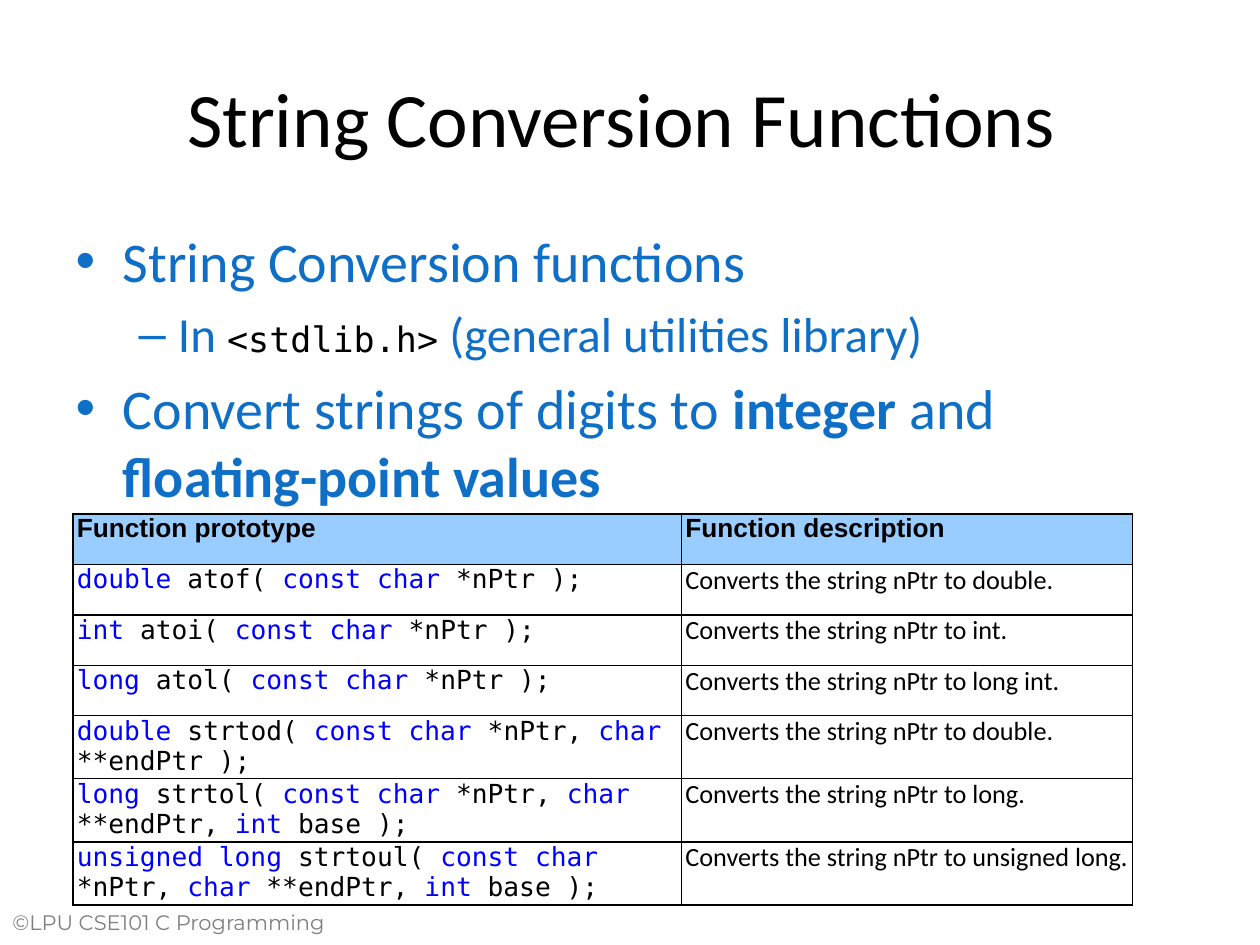
"""Build a slide on the C string conversion functions."""
from typing import NamedTuple, Optional

from lxml import etree
from pptx import Presentation
from pptx import util as u
from pptx.dml.color import RGBColor
from pptx.enum import text
from pptx.oxml.ns import qn

BLACK = RGBColor(0x00, 0x00, 0x00)
GREY = RGBColor(0x80, 0x80, 0x80)
THEME_BLUE = RGBColor(0x0F, 0x6F, 0xC6)
KEYWORD_BLUE = RGBColor(0x00, 0x00, 0xFF)
HEADER_FILL = RGBColor(0x99, 0xCC, 0xFF)
SANS, MONO, HEADING, FOOTER = "Calibri", "DejaVu Sans Mono", "Arial", "Montserrat"


class Piece(NamedTuple):
    words: str
    size: float
    font: str = SANS
    color: RGBColor = BLACK
    bold: bool = False


class Bullet(NamedTuple):
    level: int
    pieces: list[Piece]


class Function(NamedTuple):
    """Prototype parts alternate between keywords and plain code."""
    prototype: list[str]
    result: str


BULLETS = [
    Bullet(0, [Piece("String Conversion functions", 32, color=THEME_BLUE)]),
    Bullet(1, [
        Piece("In ", 28, color=THEME_BLUE),
        Piece("<stdlib.h>", 20, MONO),
        Piece(" ", 28),
        Piece("(general utilities library)", 28, color=THEME_BLUE),
    ]),
    Bullet(0, [
        Piece("Convert strings of digits to ", 32, color=THEME_BLUE),
        Piece("integer", 32, color=THEME_BLUE, bold=True),
        Piece(" and ", 32, color=THEME_BLUE),
        Piece("floating-point values", 32, color=THEME_BLUE, bold=True),
    ]),
]
FUNCTIONS = [
    Function(["double", " atof( ", "const char", " *nPtr );"], "double"),
    Function(["int", " atoi( ", "const char", " *nPtr );"], "int"),
    Function(["long", " atol( ", "const char", " *nPtr );"], "long int"),
    Function(["double", " strtod( ", "const char", " *nPtr, ", "char", " **endPtr );"], "double"),
    Function(["long", " strtol( ", "const char", " *nPtr, ", "char", " **endPtr, ",
              "int", " base );"], "long"),
    Function(["unsigned long", " strtoul( ", "const char", " *nPtr, ", "char", " **endPtr, ",
              "int", " base );"], "unsigned long"),
]
COLUMN_WIDTHS = (4.83, 3.58)
ROW_HEIGHT = 0.4
TABLE_TEXT_SIZE = 15


def write(paragraph, pieces: list[Piece]) -> None:
    for piece in pieces:
        run = paragraph.add_run()
        run.text = piece.words
        run.font.size = u.Pt(piece.size)
        run.font.name = piece.font
        run.font.bold = piece.bold
        run.font.color.rgb = piece.color


def place(shape, left: float, top: float, width: float, height: float) -> None:
    shape.left, shape.top = u.Inches(left), u.Inches(top)
    shape.width, shape.height = u.Inches(width), u.Inches(height)


def add_borders(cell) -> None:
    properties = cell._tc.get_or_add_tcPr()
    for side in ("a:lnL", "a:lnR", "a:lnT", "a:lnB"):
        line = etree.SubElement(properties, qn(side), w=str(u.Pt(1)))
        fill = etree.SubElement(line, qn("a:solidFill"))
        etree.SubElement(fill, qn("a:srgbClr"), val=str(BLACK))


def fill_cell(cell, pieces: list[Piece], background: Optional[RGBColor] = None) -> None:
    cell.margin_left = u.Inches(0.03)
    cell.margin_right = cell.margin_top = cell.margin_bottom = 0
    add_borders(cell)
    if background is None:
        cell.fill.background()
    else:
        cell.fill.solid()
        cell.fill.fore_color.rgb = background
    write(cell.text_frame.paragraphs[0], pieces)


def add_bullets(body) -> None:
    frame = body.text_frame
    frame.auto_size = text.MSO_AUTO_SIZE.NONE
    for index, bullet in enumerate(BULLETS):
        paragraph = frame.add_paragraph() if index else frame.paragraphs[0]
        paragraph.level = bullet.level
        if index == 0:
            paragraph.space_before = u.Pt(0)
        write(paragraph, bullet.pieces)


def add_function_table(slide) -> None:
    row_count = len(FUNCTIONS) + 1
    table = slide.shapes.add_table(
        row_count, len(COLUMN_WIDTHS), u.Inches(0.58), u.Inches(4.08),
        u.Inches(sum(COLUMN_WIDTHS)), u.Inches(ROW_HEIGHT * row_count)).table
    table.horz_banding = False
    for column, width in zip(table.columns, COLUMN_WIDTHS):
        column.width = u.Inches(width)
    for column, heading in enumerate(("Function prototype", "Function description")):
        fill_cell(table.cell(0, column),
                  [Piece(heading, TABLE_TEXT_SIZE, HEADING, bold=True)], HEADER_FILL)
    for row, function in enumerate(FUNCTIONS, start=1):
        code = [Piece(part, TABLE_TEXT_SIZE, MONO, BLACK if index % 2 else KEYWORD_BLUE)
                for index, part in enumerate(function.prototype)]
        fill_cell(table.cell(row, 0), code)
        description = f"Converts the string nPtr to {function.result}."
        fill_cell(table.cell(row, 1), [Piece(description, TABLE_TEXT_SIZE)])


def main() -> None:
    deck = Presentation()
    deck.slide_width, deck.slide_height = u.Inches(10), u.Inches(7.5)
    slide = deck.slides.add_slide(deck.slide_layouts[1])

    copyright_line = slide.shapes.add_textbox(
        u.Inches(0), u.Inches(7.17), u.Inches(3), u.Inches(0.42))
    copyright_line.text_frame.word_wrap = True
    write(copyright_line.text_frame.paragraphs[0],
          [Piece("©LPU CSE101 C Programming", 12, FOOTER, GREY)])

    title, body = slide.shapes.title, slide.placeholders[1]
    place(title, 0.5, 0.3, 9, 1.25)
    write(title.text_frame.paragraphs[0], [Piece("String Conversion Functions ", 44)])
    place(body, 0.5, 1.75, 9, 4.95)
    add_bullets(body)
    add_function_table(slide)
    deck.save("out.pptx")


if __name__ == "__main__":
    main()
